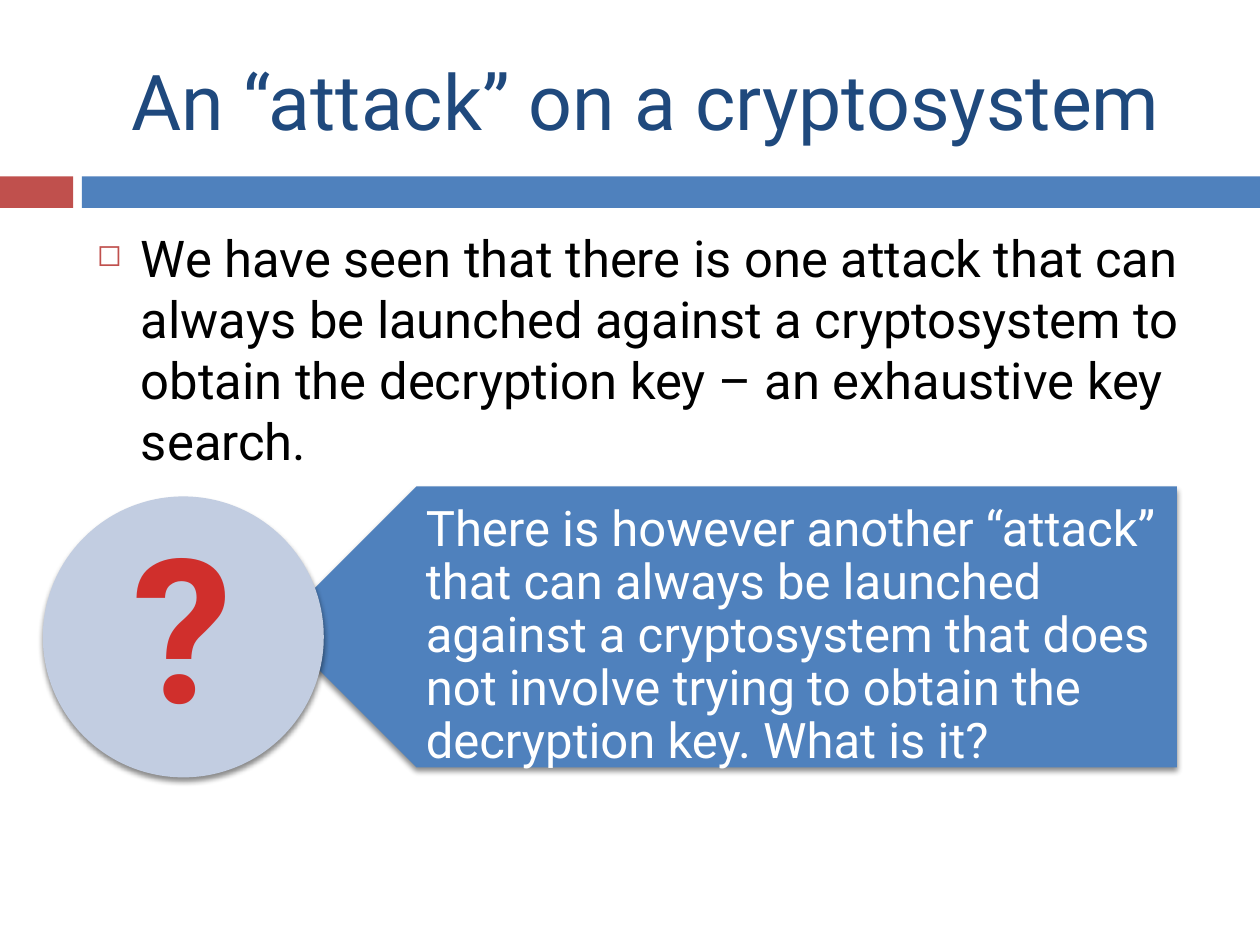
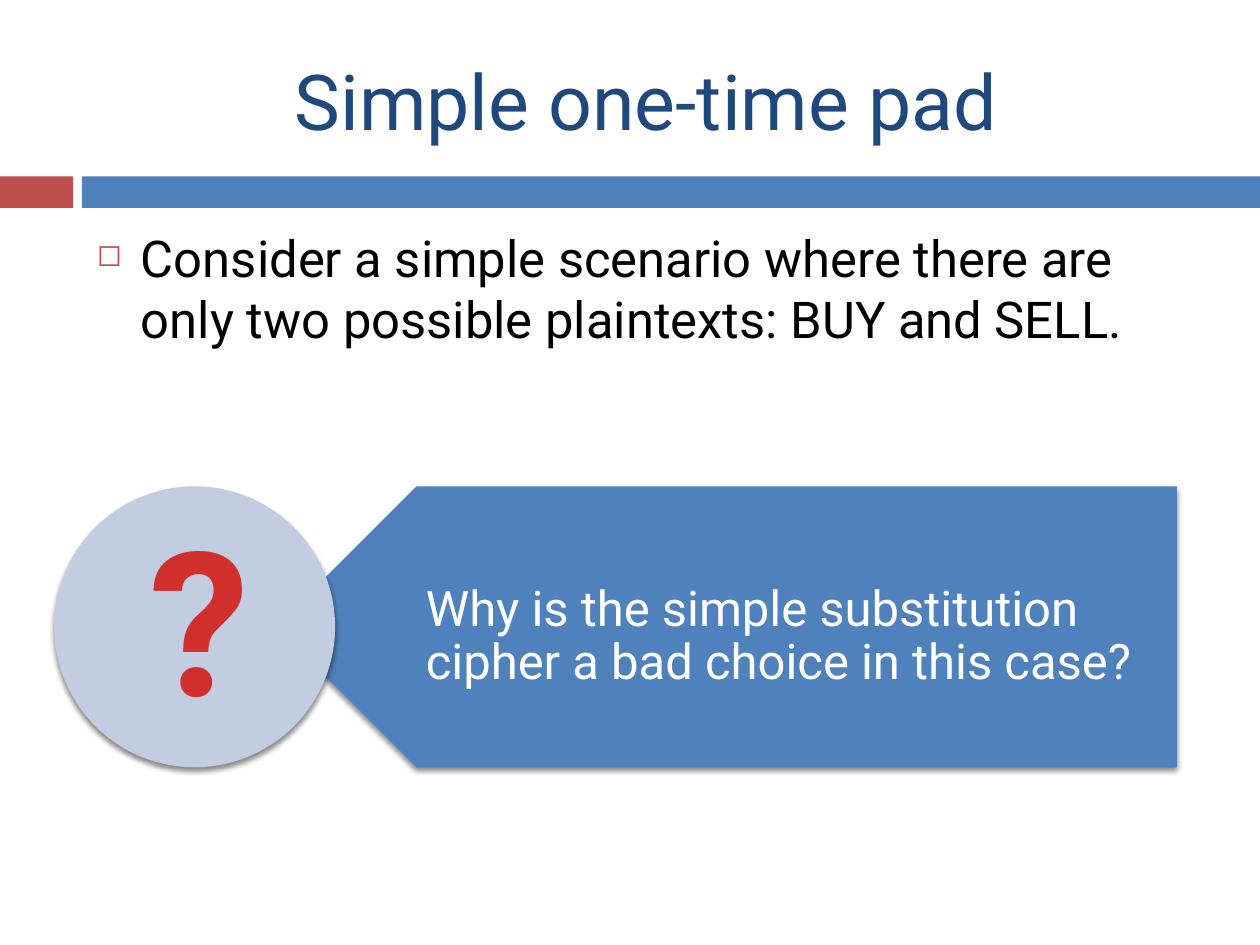
from lxml.etree import SubElement
from pptx import Presentation
from pptx.dml.color import RGBColor
from pptx.enum.shapes import MSO_SHAPE
from pptx.enum.text import MSO_ANCHOR, PP_ALIGN
from pptx.oxml.ns import qn
from pptx.util import Inches, Pt

NAVY = RGBColor(0x1F, 0x49, 0x7D)
BLUE = RGBColor(0x4F, 0x81, 0xBD)
PALE_BLUE = RGBColor(0xC2, 0xCD, 0xE1)
BRICK = RGBColor(0xC0, 0x50, 0x4D)
RED = RGBColor(0xD0, 0x2F, 0x2C)
BLACK = RGBColor(0, 0, 0)
WHITE = RGBColor(0xFF, 0xFF, 0xFF)


class Deck:
    """Holds the deck style and draws each kind of element on the current slide."""

    font_name = "Roboto"

    def __init__(self):
        self.presentation = Presentation()
        self.presentation.slide_width = Inches(10)
        self.presentation.slide_height = Inches(7.5)
        self.slide = None

    def add_slide(self, title):
        self.slide = self.presentation.slides.add_slide(self.presentation.slide_layouts[6])
        self.add_shape(MSO_SHAPE.RECTANGLE, 0, 1.4, 0.58, 0.25, BRICK)
        self.add_shape(MSO_SHAPE.RECTANGLE, 0.65, 1.4, 9.35, 0.25, BLUE)
        paragraph = self.add_text(title, 0.67, 0.25, 8.92, 1.08, 44, NAVY, MSO_ANCHOR.MIDDLE)
        paragraph.alignment = PP_ALIGN.CENTER

    def add_shape(self, kind, left, top, width, height, color):
        shape = self.slide.shapes.add_shape(
            kind, Inches(left), Inches(top), Inches(width), Inches(height))
        shape.fill.solid()
        shape.fill.fore_color.rgb = color
        shape.line.fill.background()
        shape.shadow.inherit = False
        return shape

    def add_shadow(self, shape):
        effects = shape._element.spPr.find(qn("a:effectLst"))
        shadow = SubElement(effects, qn("a:outerShdw"), blurRad=str(Pt(3)),
                            dist=str(Pt(2.4)), dir="5400000", rotWithShape="0")
        color = SubElement(shadow, qn("a:srgbClr"), val=str(BLACK))
        SubElement(color, qn("a:alpha"), val="45000")

    def add_text(self, text, left, top, width, height, size, color,
                 anchor=MSO_ANCHOR.TOP, wrap=True, margins=(0.1, 0.1)):
        box = self.slide.shapes.add_textbox(
            Inches(left), Inches(top), Inches(width), Inches(height))
        frame = box.text_frame
        frame.word_wrap = wrap
        frame.vertical_anchor = anchor
        frame.margin_left, frame.margin_right = map(Inches, margins)
        paragraph = frame.paragraphs[0]
        paragraph.text = text
        paragraph.font.name = self.font_name
        paragraph.font.size = Pt(size)
        paragraph.font.color.rgb = color
        return paragraph

    def add_bullet(self, text):
        paragraph = self.add_text(text, 0.67, 1.75, 8.92, 1.5, 29, BLACK)
        paragraph.space_before = Pt(7)
        properties = paragraph._p.get_or_add_pPr()
        properties.set("marL", str(Inches(0.35)))
        properties.set("indent", str(Inches(-0.35)))
        marker_color = SubElement(properties, qn("a:buClr"))
        SubElement(marker_color, qn("a:srgbClr"), val=str(BRICK))
        SubElement(properties, qn("a:buSzPct"), val="60000")
        SubElement(properties, qn("a:buChar"), char="◻")
        default_font = properties.find(qn("a:defRPr"))
        if default_font is not None:
            properties.append(default_font)

    def add_question(self, text, circle_at, mark_at):
        banner = self.add_shape(MSO_SHAPE.PENTAGON, 2.19, 3.86, 7.15, 2.23, BLUE)
        banner.rotation = 180
        self.add_shadow(banner)
        paragraph = self.add_text(text, 2.4, 3.94, 7.01, 2.23, 28, WHITE,
                                  MSO_ANCHOR.MIDDLE, margins=(0.98, 0.16))
        paragraph.line_spacing = 0.9
        circle = self.add_shape(MSO_SHAPE.OVAL, *circle_at, 2.23, 2.23, PALE_BLUE)
        self.add_shadow(circle)
        mark = self.add_text("?", *mark_at, 1.01, 2.04, 115, RED, wrap=False)
        mark.alignment = PP_ALIGN.CENTER
        mark.font.bold = True


def main():
    deck = Deck()
    deck.add_slide("An “attack” on a cryptosystem")
    deck.add_bullet("We have seen that there is one attack that can always be launched against "
                    "a cryptosystem to obtain the decryption key – an exhaustive key search.")
    deck.add_question("There is however another “attack” that can always be launched against "
                      "a cryptosystem that does not involve trying to obtain the decryption "
                      "key. What is it?", circle_at=(0.34, 3.94), mark_at=(0.94, 3.94))

    deck.add_slide("Simple one-time pad")
    deck.add_bullet("Consider a simple scenario where there are only two possible plaintexts: "
                    "BUY and SELL.")
    deck.add_question("Why is the simple substitution cipher a bad choice in this case?",
                      circle_at=(0.43, 3.86), mark_at=(1.08, 3.88))
    deck.presentation.save("out.pptx")


if __name__ == "__main__":
    main()
